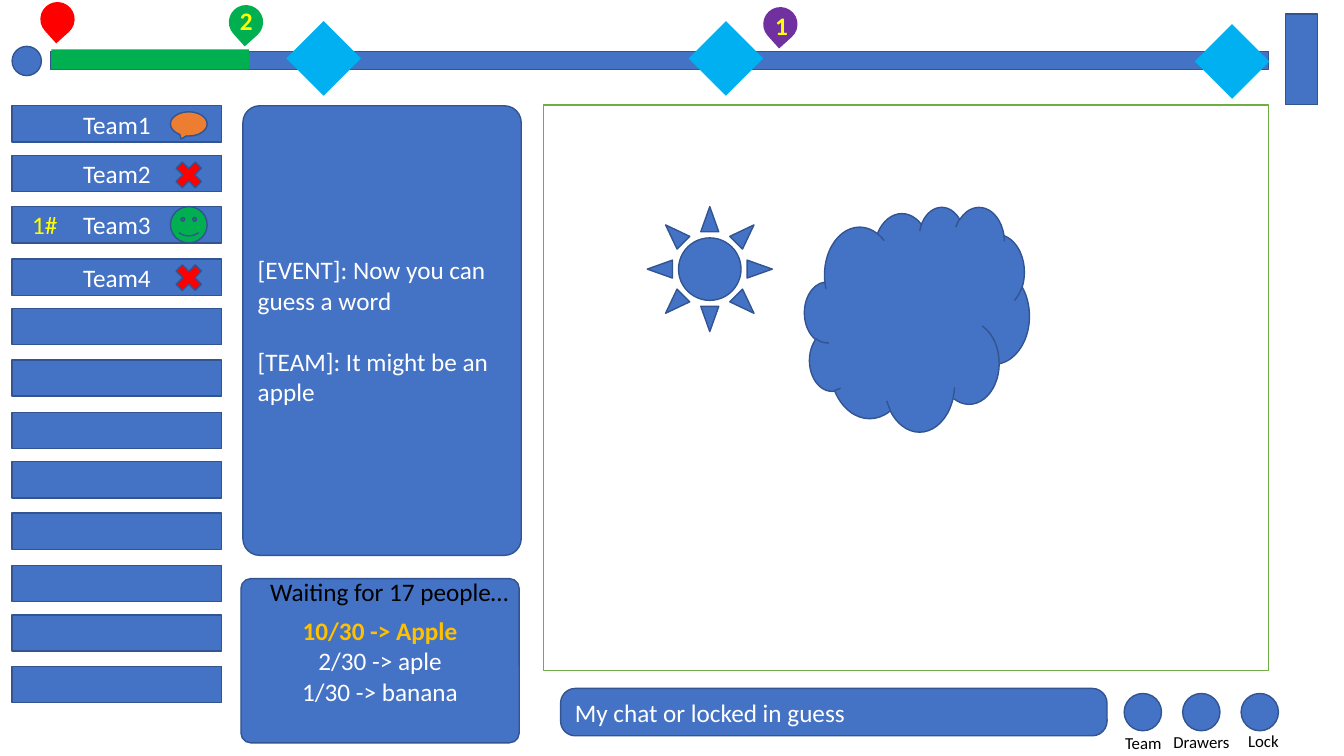
"""Build the team drawing-and-guessing game screen on one slide."""
from dataclasses import dataclass

from pptx import Presentation
from pptx.dml.color import RGBColor
from pptx.enum.shapes import MSO_SHAPE
from pptx.enum.text import MSO_ANCHOR, MSO_AUTO_SIZE, PP_ALIGN
from pptx.util import Inches, Pt

CELL = Inches(0.01)
COLUMNS, ROWS = 1333, 750
FONT = "Calibri"
COLORS = {
    "blue": "4472C4", "edge": "325491", "sky": "00B0F0", "red": "FF0000",
    "green": "00B050", "purple": "7030A0", "orange": "ED7D31", "gold": "FFC000",
    "yellow": "FFFF00", "white": "FFFFFF", "black": "000000", "frame": "70AD47",
}


@dataclass
class Box:
    """A rectangle counted in grid columns and rows."""
    column: float
    row: float
    columns: float
    rows: float

    def inside(self, column, row, columns, rows):
        """Return a box placed relative to this one."""
        return Box(self.column + column, self.row + row, columns, rows)

    def lengths(self):
        """Return left, top, width and height in slide units."""
        return [round(n * CELL) for n in (self.column, self.row, self.columns, self.rows)]


def color(name):
    """Look up a named colour."""
    return RGBColor.from_string(COLORS[name])


def write(frame, lines, ink="white", size=18, bold=False, align=PP_ALIGN.LEFT, gap=0):
    """Fill a text frame with one paragraph for each line."""
    for index, line in enumerate(lines):
        para = frame.paragraphs[0] if index == 0 else frame.add_paragraph()
        para.text = line
        para.alignment = align
        para.space_before = Pt(gap if index else 0)
        para.font.name, para.font.size, para.font.bold = FONT, Pt(size), bold
        para.font.color.rgb = color(ink)


def draw(page, kind, box, fill="blue", edge="edge", corner=None, turn=0):
    """Add a flat preset shape."""
    shape = page.shapes.add_shape(kind, *box.lengths())
    shape.shadow.inherit = False
    shape.rotation = turn
    shape.fill.solid()
    shape.fill.fore_color.rgb = color(fill)
    if edge:
        shape.line.color.rgb = color(edge)
        shape.line.width = Pt(1)
    else:
        shape.line.fill.background()
    if corner is not None:
        shape.adjustments[0] = corner
    shape.text_frame.word_wrap = True
    shape.text_frame.vertical_anchor = MSO_ANCHOR.MIDDLE
    return shape


def label(page, box, text, ink="black", size=18, bold=False):
    """Add a one-line text box."""
    frame = page.shapes.add_textbox(*box.lengths()).text_frame
    frame.word_wrap = False
    frame.auto_size = MSO_AUTO_SIZE.SHAPE_TO_FIT_TEXT
    write(frame, [text], ink, size, bold)


def add_track(page, box):
    """Draw the progress track with its markers and checkpoints."""
    draw(page, MSO_SHAPE.RECTANGLE, box.inside(38, 51, 1208, 18))
    draw(page, MSO_SHAPE.RECTANGLE, box.inside(1263, 14, 32, 90))
    draw(page, MSO_SHAPE.OVAL, box.inside(0, 46, 29, 29))
    draw(page, MSO_SHAPE.RECTANGLE, box.inside(39, 49, 196, 20), "green", None)
    for column, row in ((272, 21), (671, 21), (1173, 24)):
        draw(page, MSO_SHAPE.DIAMOND, box.inside(column, row, 74, 74), "sky", None)
    for column, row, fill in ((28, 2, "red"), (215, 5, "green"), (745, 7, "purple")):
        draw(page, MSO_SHAPE.TEAR, box.inside(column, row, 34, 34), fill, None, turn=138)
    for column, row, place in ((216, 0, "2"), (747, 5, "1")):
        label(page, box.inside(column, row, 33, 40), place, "yellow", bold=True)


def add_teams(page, box):
    """List the teams in four groups of three bars, with their status icons."""
    bars = [box.inside(0, 152 * group + step, box.columns, 36)
            for group in range(4) for step in (0, 49, 100)]
    for number, bar in enumerate(bars, 1):
        shape = draw(page, MSO_SHAPE.RECTANGLE, bar)
        if number <= 4:
            write(shape.text_frame, [f"Team{number}"], align=PP_ALIGN.CENTER)
    for bar, kind, row, rows, fill in (
        (bars[0], MSO_SHAPE.OVAL_CALLOUT, 6, 24, "orange"),
        (bars[1], MSO_SHAPE.MATH_MULTIPLY, 1, 37, "red"),
        (bars[2], MSO_SHAPE.SMILEY_FACE, 0, 36, "green"),
        (bars[3], MSO_SHAPE.MATH_MULTIPLY, 0, 37, "red"),
    ):
        draw(page, kind, bar.inside(157, row, 36.5, rows), fill)
    label(page, bars[2].inside(10, -2, 46, 40), "1#", "yellow")


def add_chat(page, box):
    """Draw the event and team chat panel."""
    panel = draw(page, MSO_SHAPE.ROUNDED_RECTANGLE, box, corner=0.06)
    write(panel.text_frame,
          ["[EVENT]: Now you can guess a word", "[TEAM]: It might be an apple"], gap=22)


def add_guesses(page, box):
    """Draw the vote panel with the leading guess highlighted."""
    panel = draw(page, MSO_SHAPE.ROUNDED_RECTANGLE, box, corner=0.06)
    write(panel.text_frame, ["10/30 -> Apple", "2/30 -> aple", "1/30 -> banana"],
          align=PP_ALIGN.CENTER)
    leader = panel.text_frame.paragraphs[0].font
    leader.bold = True
    leader.color.rgb = color("gold")
    label(page, box.inside(19, -7, 261, 40), "Waiting for 17 people…")


def add_canvas(page, box):
    """Draw the framed canvas with its sketch."""
    draw(page, MSO_SHAPE.RECTANGLE, box, "white", "frame")
    draw(page, MSO_SHAPE.CLOUD, box.inside(259, 101, 223, 223))
    draw(page, MSO_SHAPE.SUN, box.inside(103, 101, 124, 124))


def add_entry(page, box):
    """Draw the chat entry field and its three buttons."""
    field = draw(page, MSO_SHAPE.ROUNDED_RECTANGLE, box.inside(0, 0, 542, 47), corner=0.31)
    write(field.text_frame, ["My chat or locked in guess"])
    captions = (("Team", 550, 39, 57), ("Drawers", 598, 38, 76), ("Lock", 672, 37, 51))
    for index, (text, column, row, columns) in enumerate(captions):
        draw(page, MSO_SHAPE.OVAL, box.inside(559 + 58 * index, 5, 37, 37))
        label(page, box.inside(column, row, columns, 30), text, size=12)


def build():
    """Lay out the regions and save the deck."""
    deck = Presentation()
    deck.slide_width, deck.slide_height = COLUMNS * CELL, ROWS * CELL
    page = deck.slides.add_slide(deck.slide_layouts[6])
    add_track(page, Box(12, 0, 1295, 104))
    add_teams(page, Box(12, 105, 208, 592))
    add_chat(page, Box(241, 105, 276, 446))
    add_guesses(page, Box(239, 574, 276, 163))
    add_canvas(page, Box(539, 104, 719, 561))
    add_entry(page, Box(556, 683, 723, 67))
    deck.save("out.pptx")


build()
